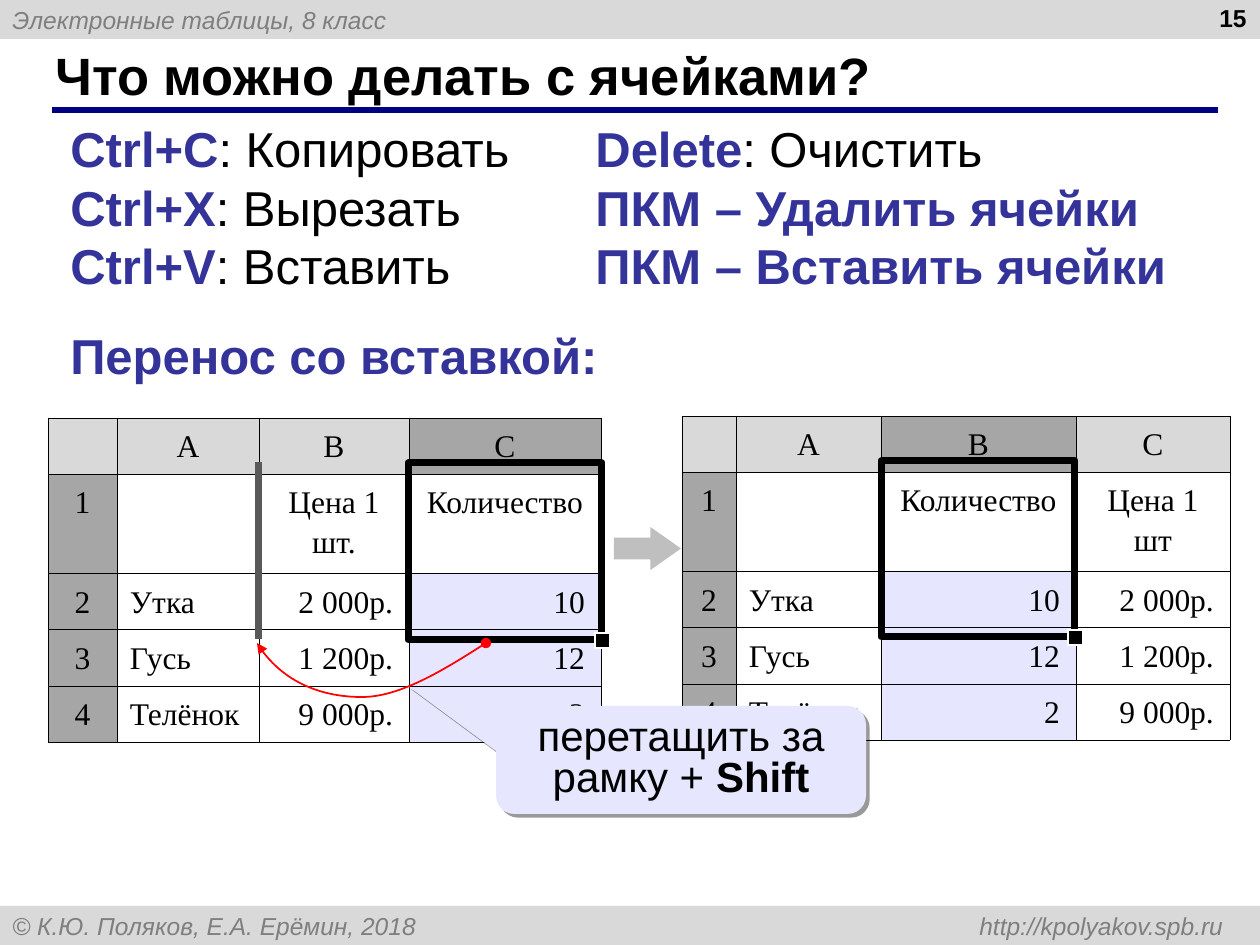
import pptx
import pptx.util
import pptx.dml.color
import pptx.enum.shapes
import pptx.enum.text
import pptx.oxml
import pptx.oxml.ns
from lxml import etree

COLORS = {
    "bar": "D9D9D9", "gray": "7F7F7F", "navy": "000080", "black": "000000",
    "white": "FFFFFF", "key": "333399", "header": "A6A6A6", "lilac": "E6E6FF",
    "arrow": "BFBFBF", "red": "FF0000", "marker": "595959",
}
RGB = {name: pptx.dml.color.RGBColor.from_string(value) for name, value in COLORS.items()}
NS = 'xmlns:a="http://schemas.openxmlformats.org/drawingml/2006/main"'
SHAPE = pptx.enum.shapes.MSO_SHAPE
STRAIGHT = pptx.enum.shapes.MSO_CONNECTOR.STRAIGHT
ALIGN = pptx.enum.text.PP_ALIGN
MIDDLE = pptx.enum.text.MSO_ANCHOR.MIDDLE
qn = pptx.oxml.ns.qn


def px(*lengths):
    return [round(n * 914400 / 126) for n in lengths]


def write(p, runs, size, font="Arial", italic=False):
    for text, color, bold in runs:
        r = p.add_run()
        r.text = text
        r.font.name = font
        r.font.size = pptx.util.Pt(size)
        r.font.bold = bold
        r.font.italic = italic
        r.font.color.rgb = RGB[color]


prs = pptx.Presentation()
prs.slide_width, prs.slide_height = px(1260, 945)
s = prs.slides.add_slide(prs.slide_layouts[6])

for top, text in [
    (0, "Электронные таблицы, 8 класс"),
    (906, "© К.Ю. Поляков, Е.А. Ерёмин, 2018 \thttp://kpolyakov.spb.ru"),
]:
    sp = s.shapes.add_shape(SHAPE.RECTANGLE, *px(0, top, 1260, 39))
    sp.shadow.inherit = False
    sp.fill.solid()
    sp.fill.fore_color.rgb = RGB["bar"]
    sp.line.fill.background()
    sp.text_frame.vertical_anchor = MIDDLE
    p = sp.text_frame.paragraphs[0]
    p.alignment = ALIGN.LEFT
    if "\t" in text:
        tabs = etree.SubElement(p._p.get_or_add_pPr(), qn("a:tabLst"))
        etree.SubElement(tabs, qn("a:tab"), pos=str(px(1211)[0]), algn="r")
    write(p, [(text, "gray", False)], 14, italic=True)

rule = s.shapes.add_connector(STRAIGHT, *px(52, 110, 1218, 110))
rule.line.color.rgb = RGB["navy"]
rule.line.width = pptx.util.Pt(3)
etree.SubElement(rule._element.spPr, qn("a:effectLst"))

title = s.shapes.add_textbox(*px(43, 42, 1154, 65))
title.text_frame.word_wrap = True
title.text_frame.vertical_anchor = MIDDLE
write(title.text_frame.paragraphs[0], [("Что можно делать с ячейками?", "black", True)], 30)

number = s.shapes.add_textbox(*px(965, -3, 294, 65))
number.text_frame.word_wrap = True
number.text_frame.paragraphs[0].alignment = ALIGN.RIGHT
write(number.text_frame.paragraphs[0], [("15", "black", True)], 14)

for box, lines in [
    ((58, 112, 465, 189), [("Ctrl+C", ": Копировать"), ("Ctrl+X", ": Вырезать"), ("Ctrl+V", ": Вставить")]),
    ((583, 112, 596, 189), [("Delete", ": Очистить"), ("ПКМ – Удалить ячейки", ""), ("ПКМ – Вставить ячейки", "")]),
    ((58, 319, 554, 72), [("Перенос со вставкой:", "")]),
]:
    tf = s.shapes.add_textbox(*px(*box)).text_frame
    tf.word_wrap = False
    tf.auto_size = pptx.enum.text.MSO_AUTO_SIZE.SHAPE_TO_FIT_TEXT
    for i, (key, action) in enumerate(lines):
        p = tf.add_paragraph() if i else tf.paragraphs[0]
        write(p, [(key, "key", True)] + ([(action, "black", False)] if action else []), 28)

names = ["", "Утка", "Гусь", "Телёнок"]
amounts = ["Количество", "10", "12", "2"]
prices = ["2 000р.", "1 200р.", "9 000р."]
for left, top, widths, columns, active in [
    (48, 418, (69, 142, 150, 192), [names, ["Цена 1 шт."] + prices, amounts], 3),
    (682, 416, (54, 145, 195, 154), [names, amounts, ["Цена 1 шт"] + prices], 2),
]:
    frame = s.shapes.add_table(5, 4, *px(left, top, sum(widths), 5 * 44))
    table = frame.table
    table.first_row = table.horz_banding = False
    for column, width in zip(table.columns, px(*widths)):
        column.width = width
    rows = [["", "A", "B", "C"]] + [[str(n), *row] for n, row in enumerate(zip(*columns), 1)]
    for i, row in enumerate(rows):
        table.rows[i].height = px(44)[0]
        for j, text in enumerate(row):
            cell = table.cell(i, j)
            is_name = i > 1 and j == 1
            cell.margin_left, cell.margin_right = px(13, 13) if is_name else px(16, 16)
            tcPr = cell._tc.get_or_add_tcPr()
            for side in "LRTB":
                tcPr.append(pptx.oxml.parse_xml(
                    f'<a:ln{side} {NS} w="5715"><a:solidFill><a:srgbClr val="{COLORS["black"]}"/>'
                    f'</a:solidFill></a:ln{side}>'))
            if i == 0:
                fill = "header" if j == active else "bar"
            elif j == 0:
                fill = "header"
            else:
                fill = "lilac" if i > 1 and j == active else None
            if fill:
                cell.fill.solid()
                cell.fill.fore_color.rgb = RGB[fill]
            else:
                cell.fill.background()
            p = cell.text_frame.paragraphs[0]
            if text:
                p.line_spacing = 1.15
                if is_name:
                    p.alignment = ALIGN.LEFT
                else:
                    p.alignment = ALIGN.RIGHT if i > 1 and j > 1 else ALIGN.CENTER
                write(p, [(text, "black", False)], 18, "Times New Roman")

for left, top, width, height in [(408, 463, 194, 177), (881, 461, 194, 176)]:
    outline = s.shapes.add_shape(SHAPE.RECTANGLE, *px(left, top, width, height))
    outline.shadow.inherit = False
    outline.fill.background()
    outline.line.color.rgb = RGB["black"]
    outline.line.width = pptx.util.Pt(4)
    handle = s.shapes.add_shape(SHAPE.RECTANGLE, *px(left + width - 7, top + height - 7, 15, 15))
    handle.shadow.inherit = False
    handle.fill.solid()
    handle.fill.fore_color.rgb = RGB["black"]
    handle.line.color.rgb = RGB["white"]
    handle.line.width = pptx.util.Pt(0.75)

for kind, box, adjustments, fill in [
    (SHAPE.RIGHT_ARROW, (614, 527, 67, 43), (0.5, 0.71), "arrow"),
    (SHAPE.ROUNDED_RECTANGULAR_CALLOUT, (496, 706, 370, 108), (-0.74, -0.69, 0.17), "lilac"),
]:
    sp = s.shapes.add_shape(kind, *px(*box))
    for i, value in enumerate(adjustments):
        sp.adjustments[i] = value
    sp.shadow.inherit = False
    sp.fill.solid()
    sp.fill.fore_color.rgb = RGB[fill]
    sp.line.fill.background()

callout = sp
callout._element.spPr.find(qn("a:effectLst")).append(pptx.oxml.parse_xml(
    f'<a:outerShdw {NS} blurRad="0" dist="38100" dir="2700000" algn="tl" rotWithShape="0">'
    f'<a:srgbClr val="{COLORS["black"]}"><a:alpha val="40000"/></a:srgbClr></a:outerShdw>'))
callout.text_frame.word_wrap = True
callout.text_frame.vertical_anchor = MIDDLE
p = callout.text_frame.paragraphs[0]
p.alignment = ALIGN.CENTER
p.line_spacing = 0.8
write(p, [("перетащить за рамку + ", "black", False), ("Shift", "black", True)], 24)

points = [(444, 670), (399, 697), (362, 697), (324, 697), (281, 682), (257, 643)]
builder = s.shapes.build_freeform(*px(486, 643))
builder.add_line_segments([px(*point) for point in points], close=False)
drag = builder.convert_to_shape()
drag.shadow.inherit = False
drag.fill.background()
drag.line.color.rgb = RGB["red"]
drag.line.width = pptx.util.Pt(1)
segments = list(drag._element.iter(qn("a:lnTo")))
for start in range(0, len(segments), 3):
    curve = etree.Element(qn("a:cubicBezTo"))
    segments[start].addprevious(curve)
    for segment in segments[start:start + 3]:
        curve.append(segment[0])
        segment.getparent().remove(segment)
ln = drag.line._get_or_add_ln()
etree.SubElement(ln, qn("a:headEnd"), type="oval")
etree.SubElement(ln, qn("a:tailEnd"), type="triangle")

marker = s.shapes.add_connector(STRAIGHT, *px(259, 462, 259, 639))
marker.line.color.rgb = RGB["marker"]
marker.line.width = pptx.util.Pt(4)
etree.SubElement(marker._element.spPr, qn("a:effectLst"))

prs.save("out.pptx")
